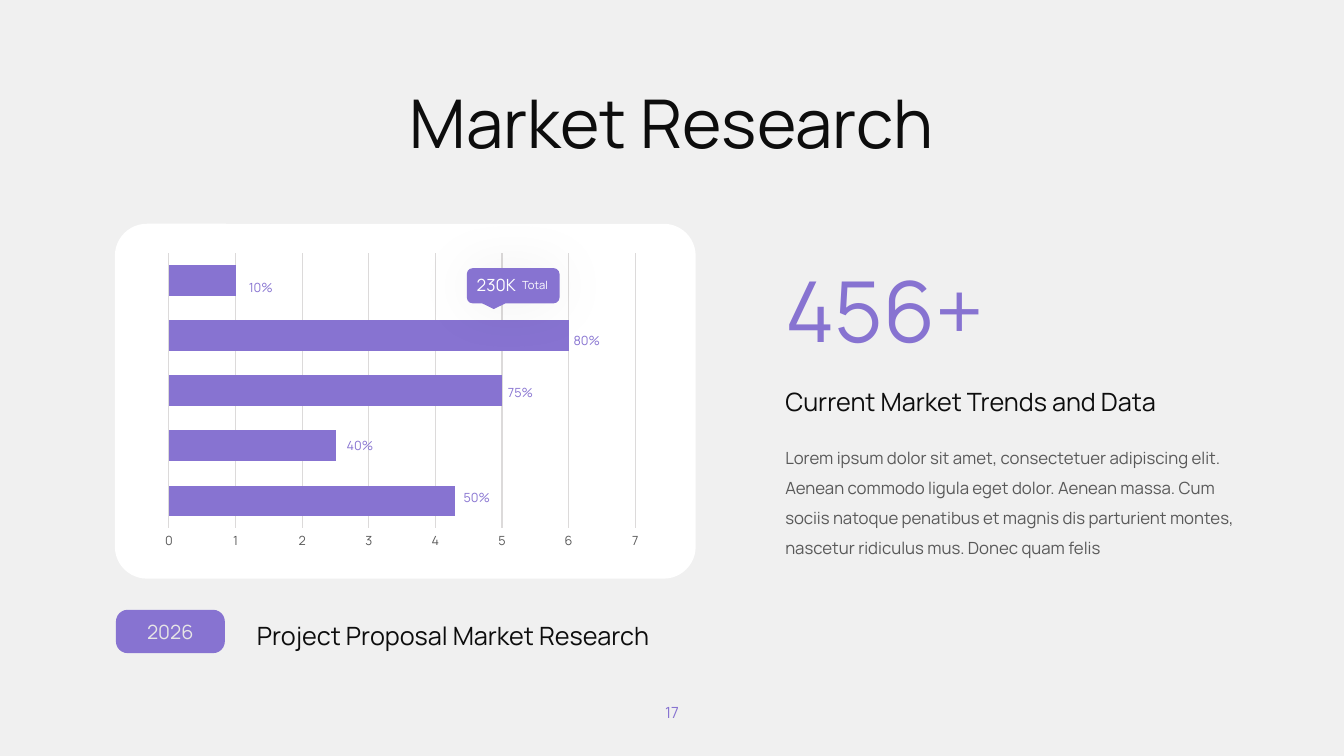
"""Builds the Market Research slide: a bar chart card beside a headline figure."""
from dataclasses import dataclass

from lxml import etree
from pptx import Presentation
from pptx import util as u
from pptx.chart.data import CategoryChartData
from pptx.dml.color import RGBColor
from pptx.enum import chart as charts, shapes, text
from pptx.oxml.ns import qn


@dataclass(frozen=True)
class Theme:
    font: str = "Manrope"
    page: str = "F0F0F0"
    card: str = "FFFFFF"
    accent: str = "8773D1"
    ink: str = "0D0D0D"
    muted: str = "595959"
    pale: str = "E7E6E6"
    grid: str = "DCDADA"
    shadow: str = "000000"
    title: float = 48
    figure: float = 60
    heading: float = 18
    badge: float = 14
    body: float = 12
    number: float = 11
    label: float = 9
    small: float = 8


THEME = Theme()
LEFT, CENTER = text.PP_ALIGN.LEFT, text.PP_ALIGN.CENTER
TOP, MIDDLE = text.MSO_ANCHOR.TOP, text.MSO_ANCHOR.MIDDLE

BODY = (
    "Lorem ipsum dolor sit amet, consectetuer adipiscing elit. "
    "Aenean commodo ligula eget dolor. Aenean massa. "
    "Cum sociis natoque penatibus et magnis dis parturient montes, "
    "nascetur ridiculus mus. Donec quam felis"
)
CATEGORIES = ["1", "2", "3", "4", "5"]
VALUES = [4.3, 2.5, 5, 6, 1]
CHART_AT = (1.54, 2.45, 4.89, 3.07)
BAR_LABELS = [("10%", 2.37), ("80%", 5.59), ("75%", 4.94), ("40%", 3.34), ("50%", 4.5)]
LABEL_TOP, LABEL_STEP, LABEL_SIZE = 2.73, 0.52, (0.8, 0.25)

CARD = ("ROUNDED_RECTANGLE", (1.14, 2.22, 5.76, 3.52), THEME.card, [0.09])
CALLOUT = ("ROUNDED_RECTANGULAR_CALLOUT", (4.63, 2.66, 0.92, 0.35), THEME.accent,
           [-0.21, 0.66, 0.17])
BADGE = ("ROUNDED_RECTANGLE", (1.15, 6.05, 1.08, 0.43), THEME.accent, [0.27])

TEXTS = [
    ("17", (6.2, 6.92, 0.93, 0.29), THEME.number, THEME.accent, CENTER, MIDDLE),
    ("230K", (4.63, 2.68, 0.87, 0.3), THEME.body, THEME.card, LEFT, MIDDLE),
    ("Total", (5.08, 2.71, 0.52, 0.24), THEME.small, THEME.card, LEFT, MIDDLE),
    ("2026", (1.27, 6.1, 0.84, 0.34), THEME.badge, THEME.pale, CENTER, MIDDLE),
    ("456+", (7.69, 2.52, 3.55, 1.11), THEME.figure, THEME.accent, LEFT, TOP),
    ("Current Market Trends and Data", (7.69, 3.78, 4.64, 0.4), THEME.heading,
     THEME.ink, LEFT, TOP),
    ("Project Proposal Market Research", (2.45, 6.11, 4.29, 0.34), THEME.heading,
     THEME.ink, LEFT, TOP),
    ("Market Research", (0.75, 0.76, 11.83, 0.91), THEME.title, THEME.ink, CENTER, TOP),
]


def inches(place):
    return [u.Inches(length) for length in place]


def color(value):
    return RGBColor.from_string(value)


def style_font(font, size, tint):
    font.name = THEME.font
    font.size = u.Pt(size)
    font.color.rgb = color(tint)


def add_text(page, words, place, size, tint, align=LEFT, anchor=TOP):
    box = page.shapes.add_textbox(*inches(place))
    frame = box.text_frame
    frame.word_wrap = True
    frame.vertical_anchor = anchor
    para = frame.paragraphs[0]
    para.alignment = align
    span = para.add_run()
    span.text = words
    style_font(span.font, size, tint)
    return para


def add_panel(page, kind, place, tint, adjustments):
    panel = page.shapes.add_shape(shapes.MSO_SHAPE[kind], *inches(place))
    panel.shadow.inherit = False
    panel.fill.solid()
    panel.fill.fore_color.rgb = color(tint)
    panel.line.fill.background()
    for index, amount in enumerate(adjustments):
        panel.adjustments[index] = amount
    return panel


def add_soft_shadow(panel, blur, alpha):
    effects = panel.element.spPr.find(qn("a:effectLst"))
    shadow = etree.SubElement(effects, qn("a:outerShdw"), blurRad=str(u.Pt(blur)),
                              dist="0", dir="0", algn="ctr", rotWithShape="0")
    tint = etree.SubElement(shadow, qn("a:srgbClr"), val=THEME.shadow)
    etree.SubElement(tint, qn("a:alpha"), val=str(alpha * 1000))


def add_bars(page):
    data = CategoryChartData()
    data.categories = CATEGORIES
    data.add_series("Series 1", VALUES)
    chart = page.shapes.add_chart(
        charts.XL_CHART_TYPE.BAR_CLUSTERED, *inches(CHART_AT), data).chart
    chart.has_legend = False
    chart.has_title = False
    style_font(chart.font, THEME.label, THEME.muted)
    chart.category_axis.visible = False
    axis = chart.value_axis
    axis.minimum_scale, axis.maximum_scale, axis.major_unit = 0, 7, 1
    axis.major_tick_mark = axis.minor_tick_mark = charts.XL_TICK_MARK.NONE
    axis.format.line.fill.background()
    style_font(axis.tick_labels.font, THEME.label, THEME.muted)
    axis.has_major_gridlines = True
    grid = axis.major_gridlines.format.line
    grid.width = u.Pt(0.75)
    grid.color.rgb = color(THEME.grid)
    plot = chart.plots[0]
    plot.gap_width = 80
    plot.vary_by_categories = False
    bars = plot.series[0].format.fill
    bars.solid()
    bars.fore_color.rgb = color(THEME.accent)


def main():
    deck = Presentation()
    deck.slide_width, deck.slide_height = inches((13.33, 7.5))
    page = deck.slides.add_slide(deck.slide_layouts[6])
    page.background.fill.solid()
    page.background.fill.fore_color.rgb = color(THEME.page)

    add_panel(page, *CARD)
    add_bars(page)
    for row, (words, left) in enumerate(BAR_LABELS):
        place = (left, LABEL_TOP + row * LABEL_STEP, *LABEL_SIZE)
        add_text(page, words, place, THEME.label, THEME.accent)
    add_soft_shadow(add_panel(page, *CALLOUT), blur=41, alpha=5)
    add_panel(page, *BADGE)
    for item in TEXTS:
        add_text(page, *item)
    para = add_text(page, BODY, (7.69, 4.29, 4.86, 1.28), THEME.body, THEME.muted)
    para.line_spacing = 1.5
    para.space_before = u.Pt(8)
    deck.save("out.pptx")


if __name__ == "__main__":
    main()
